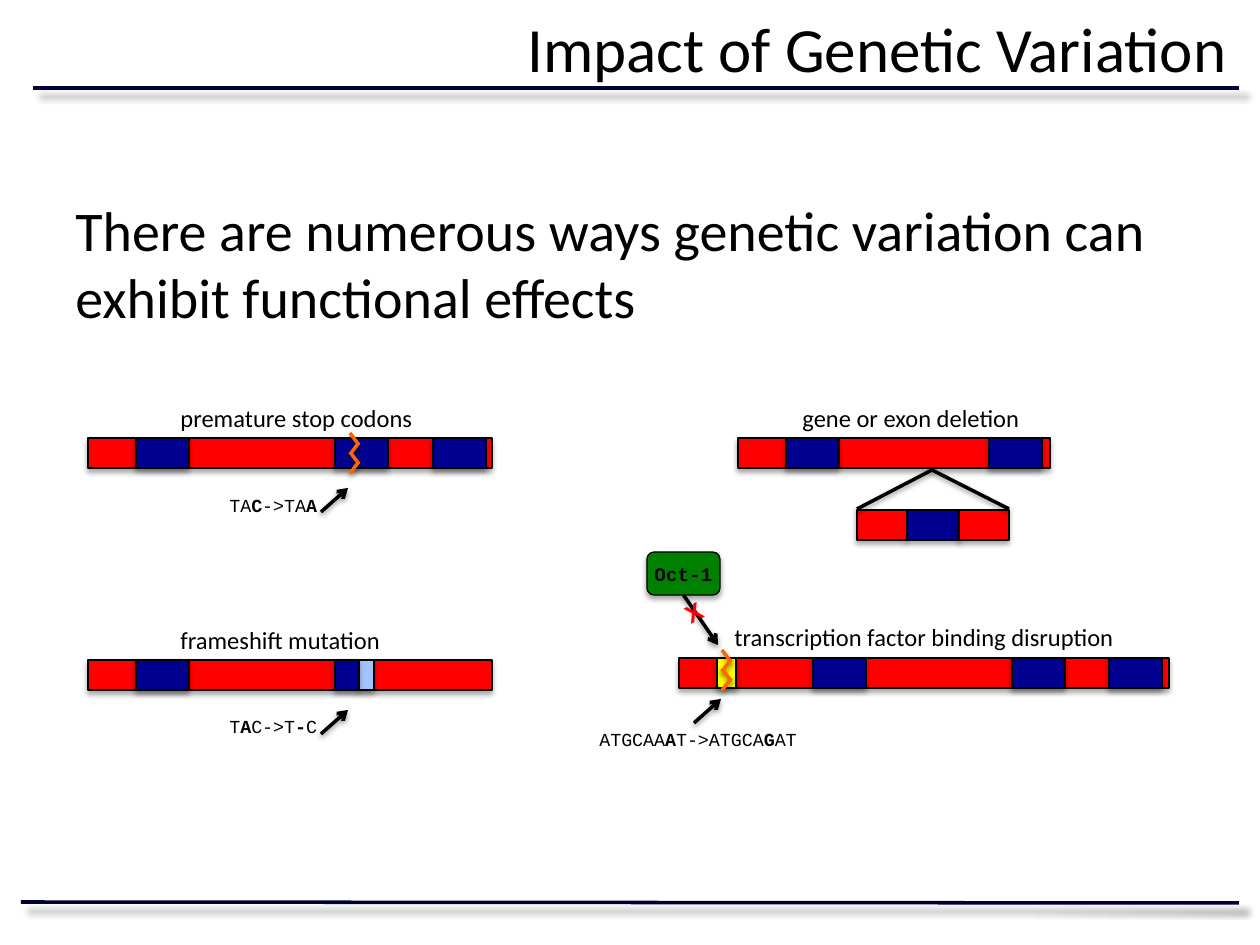
from lxml import etree
from pptx import Presentation
from pptx.dml.color import RGBColor
from pptx.enum.shapes import MSO_CONNECTOR, MSO_SHAPE
from pptx.enum.text import MSO_ANCHOR, MSO_AUTO_SIZE, PP_ALIGN
from pptx.oxml.ns import qn
from pptx.util import Emu, Pt

STRAIGHT = MSO_CONNECTOR.STRAIGHT
RECTANGLE, ROUNDED = MSO_SHAPE.RECTANGLE, MSO_SHAPE.ROUNDED_RECTANGLE
MIDDLE, TOP = MSO_ANCHOR.MIDDLE, MSO_ANCHOR.TOP
LEFT, CENTER, RIGHT = PP_ALIGN.LEFT, PP_ALIGN.CENTER, PP_ALIGN.RIGHT
FIT_SHAPE = MSO_AUTO_SIZE.SHAPE_TO_FIT_TEXT

SCALE = 914400 / 126
BLACK, RED, NAVY, ORANGE = "000000", "FF0000", "000090", "FF6600"
LIGHT_BLUE, YELLOW, GREEN, RULE = "A3C3FF", "FFFF00", "008000", "000033"
BAR_HEIGHT, EXON_WIDTH, LABEL_HEIGHT, SEQUENCE_HEIGHT = 30, 53, 43, 35

RULE_SHADOW = (50, 4, 6, 45)
SHAPE_SHADOW = (35, 3.1, 1.8, 90)
LINE_SHADOW = (38, 3.1, 1.6, 90)

TITLE = "Impact of Genetic Variation"
BODY = "There are numerous ways genetic variation can exhibit functional effects"
RULES = [(33, 88, 1239, 88), (21, 902, 1239, 903)]

PANELS = [
    {"top": 438, "gene": (88, 404), "exons": [136, 335, 433], "parts": [],
     "label": ("premature stop codons", 168, 397, 261),
     "sequence": (["TA", "C", "->TA", "A"], 217, 488, 116),
     "arrow": (321, 512), "zigzag": (350, 433)},
    {"top": 660, "gene": (88, 404), "exons": [136],
     "parts": [(359, 15, LIGHT_BLUE), (335, 24, NAVY)],
     "label": ("frameshift mutation", 168, 619, 228),
     "sequence": (["T", "A", "C->T", "-", "C"], 217, 709, 115),
     "arrow": (321, 734)},
    {"top": 438, "gene": (738, 312), "exons": [786, 989], "parts": [],
     "label": ("gene or exon deletion", 790, 397, 246)},
    {"top": 658, "gene": (679, 490), "exons": [813, 1012, 1109],
     "parts": [(717, 19, YELLOW)],
     "label": ("transcription factor binding disruption", 722, 616, 408),
     "sequence": (["ATGCAA", "A", "T->ATGCA", "G", "AT"], 587, 722, 226),
     "arrow": (694, 723), "zigzag": (722, 650)},
]
DELETED = [(907, 53, NAVY), (857, 50, RED), (959, 50, RED)]
DELETED_TOP = 510
DELETION_SITE, DELETION_ENDS = (932, 470), [(857, 509), (1009, 509)]


def px(value):
    return Emu(round(value * SCALE))


def color(value):
    return RGBColor.from_string(value)


def add_shadow(shape, values):
    alpha, blur, distance, angle = values
    effects = etree.SubElement(shape._element.spPr, qn("a:effectLst"))
    outer = etree.SubElement(effects, qn("a:outerShdw"), blurRad=str(Pt(blur)),
                             dist=str(Pt(distance)), dir=str(angle * 60000),
                             algn="tl", rotWithShape="0")
    shade = etree.SubElement(outer, qn("a:srgbClr"), val=BLACK)
    etree.SubElement(shade, qn("a:alpha"), val=str(alpha * 1000))


def add_line(shapes, points, line_color=BLACK, arrow=False, shadow=LINE_SHADOW):
    line = shapes.add_connector(STRAIGHT, *map(px, points))
    line.line.color.rgb = color(line_color)
    line.line.width = Pt(2)
    if arrow:
        etree.SubElement(line.line._get_or_add_ln(), qn("a:tailEnd"), type="arrow")
    add_shadow(line, shadow)
    return line


def add_block(shapes, box, fill, kind=RECTANGLE):
    shape = shapes.add_shape(kind, *map(px, box))
    shape.fill.solid()
    shape.fill.fore_color.rgb = color(fill)
    shape.line.color.rgb = color(BLACK)
    shape.line.width = Pt(0.75)
    add_shadow(shape, SHAPE_SHADOW)
    return shape


def write(shape, texts, size, font="Calibri", font_color=BLACK, bold=(False, True),
          align=LEFT, anchor=TOP, wrap=False):
    frame = shape.text_frame
    frame.word_wrap = wrap
    frame.vertical_anchor = anchor
    if not wrap:
        frame.auto_size = FIT_SHAPE
    paragraph = frame.paragraphs[0]
    paragraph.alignment = align
    for index, text in enumerate(texts):
        run = paragraph.add_run()
        run.text = text
        run.font.name = font
        run.font.size = Pt(size)
        run.font.bold = bold[index % 2]
        run.font.color.rgb = color(font_color)


def add_text(shapes, box, texts, size, **style):
    shape = shapes.add_textbox(*map(px, box))
    write(shape, texts, size, **style)
    return shape


def add_zigzag(shapes, left, top):
    group = shapes.add_group_shape()
    for index in range(4):
        start, end = (left, left + 9) if index % 2 == 0 else (left + 9, left)
        y = top + index * 9.5
        add_line(group.shapes, (start, y, end, y + 12), ORANGE)


def add_panel(shapes, panel):
    top = panel["top"]
    parts = [(*panel["gene"], RED)]
    parts += [(left, EXON_WIDTH, NAVY) for left in panel["exons"]] + panel["parts"]
    for left, width, fill in parts:
        add_block(shapes, (left, top, width, BAR_HEIGHT), fill)
    text, left, label_top, width = panel["label"]
    add_text(shapes, (left, label_top, width, LABEL_HEIGHT), [text], 14)
    if "sequence" in panel:
        texts, left, sequence_top, width = panel["sequence"]
        add_text(shapes, (left, sequence_top, width, SEQUENCE_HEIGHT), texts, 10.5,
                 font="Courier New")
        x, y = panel["arrow"]
        add_line(shapes, (x, y, x + 27, y - 24), arrow=True)
    if "zigzag" in panel:
        add_zigzag(shapes, *panel["zigzag"])


def main():
    presentation = Presentation()
    presentation.slide_width, presentation.slide_height = px(1260), px(945)
    slide = presentation.slides.add_slide(presentation.slide_layouts[6])
    shapes = slide.shapes

    for points in RULES:
        add_line(shapes, points, RULE, shadow=RULE_SHADOW)
    add_text(shapes, (147, 0, 1092, 94), [TITLE], 36, align=RIGHT, anchor=MIDDLE, wrap=True)
    add_text(shapes, (63, 189, 1134, 159), [BODY], 32, wrap=True)

    for panel in PANELS:
        add_panel(shapes, panel)

    for left, width, fill in DELETED:
        add_block(shapes, (left, DELETED_TOP, width, BAR_HEIGHT), fill)
    for end in DELETION_ENDS:
        add_line(shapes, (*DELETION_SITE, *end))

    factor = add_block(shapes, (647, 552, 73, 43), GREEN, ROUNDED)
    write(factor, ["Oct-1"], 11, font="Courier New", bold=(True, True),
          align=CENTER, anchor=MIDDLE, wrap=True)
    frame = factor.text_frame
    frame.margin_left = frame.margin_right = frame.margin_top = frame.margin_bottom = 0
    binding = add_line(shapes, (683, 595, 718, 645), arrow=True)
    binding.begin_connect(factor, 2)
    cross = add_text(shapes, (673, 591, 42, LABEL_HEIGHT), ["X"], 14, font="Arial",
                     font_color=RED, bold=(True, True))
    cross.rotation = 332

    presentation.save("out.pptx")


if __name__ == "__main__":
    main()
